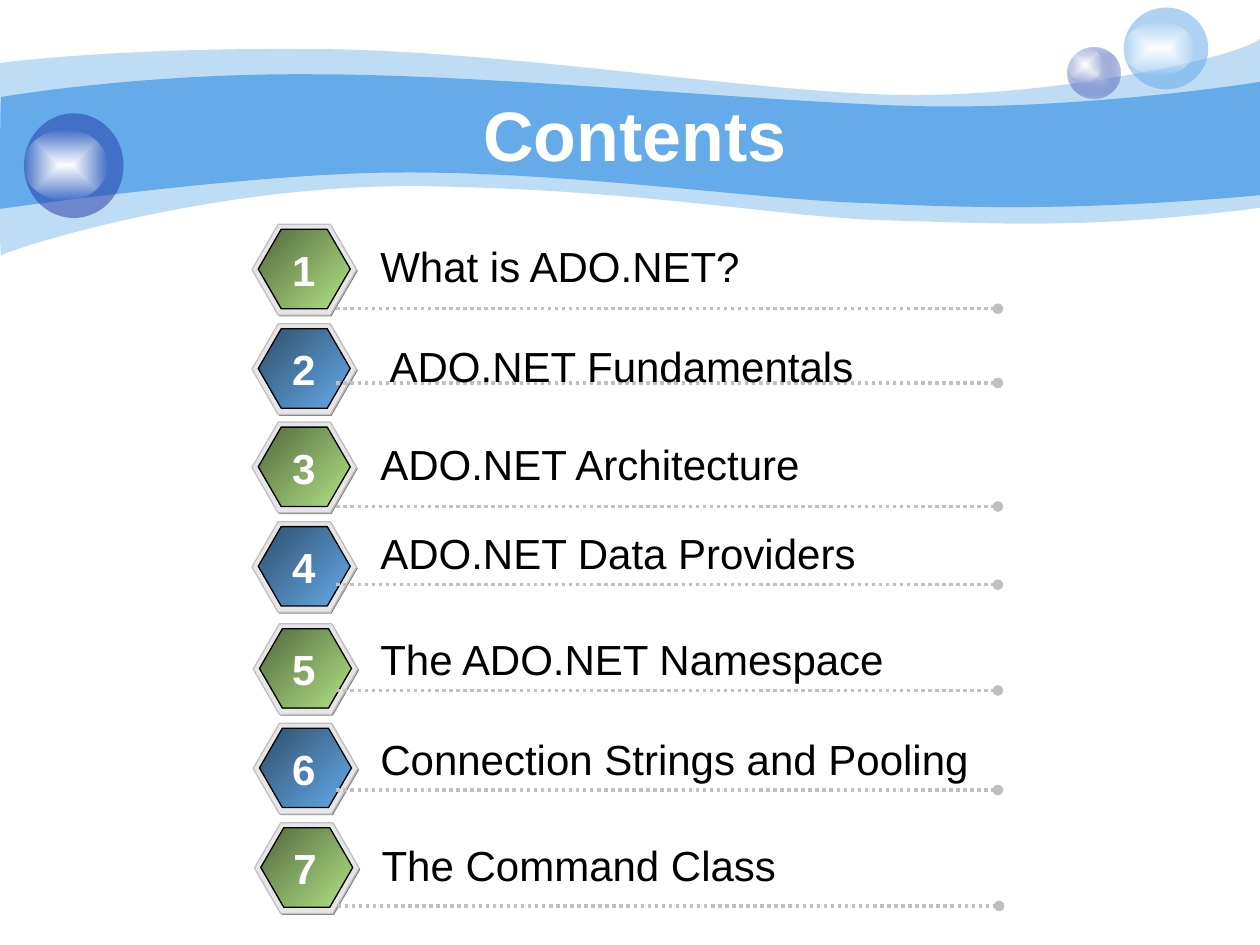
from lxml import etree
from pptx import Presentation
from pptx.dml.color import RGBColor
from pptx.enum import dml, shapes, text
from pptx.oxml import ns
from pptx.util import Inches, Pt


def color(hex_value):
    return RGBColor.from_string(hex_value)


def paint(shape, *stops, radial=False):
    """Fill with one colour or a two-stop gradient of (hex, opacity %) pairs."""
    shape.shadow.inherit = False
    shape.line.fill.background()
    if len(stops) == 1:
        shape.fill.solid()
        shape.fill.fore_color.rgb = color(stops[0][0])
    else:
        shape.fill.gradient()
        shape.fill.gradient_angle = 315
        for stop, (hex_value, _) in zip(shape.fill.gradient_stops, stops):
            stop.color.rgb = color(hex_value)
    properties = shape._element.spPr
    for element, (_, opacity) in zip(properties.xpath(".//a:srgbClr"), stops):
        if opacity < 100:
            etree.SubElement(element, ns.qn("a:alpha"), val=str(opacity * 1000))
    if radial:
        linear = properties.xpath(".//a:lin")[0]
        path = etree.Element(ns.qn("a:path"), path="rect")
        etree.SubElement(path, ns.qn("a:fillToRect"), l="50000", t="50000", r="50000", b="50000")
        linear.getparent().replace(linear, path)


presentation = Presentation()
presentation.slide_width, presentation.slide_height = Inches(10), Inches(7.5)
slide = presentation.slides.add_slide(presentation.slide_layouts[5])

# Waves: each is a list of segments, 1 point for a line and 3 for a cubic curve
waves = [
    (41, (0, 0.5), [
        [(0.24, 0.47), (1.07, 0.38), (2.47, 0.39)],
        [(3.86, 0.39), (5.75, 0.7), (6.99, 0.75)],
        [(8.22, 0.8), (9.8, 0.47), (10, 0.31)],
        [(10, 1.65)],
        [(8.58, 1.83), (7.87, 1.77), (7.05, 1.75)],
        [(6.22, 1.73), (5.15, 1.51), (3.43, 1.48)],
        [(1.72, 1.44), (0.04, 1.99), (0.01, 2.03)],
        [(-0.01, 2.08), (0, 0.75), (0, 0.5)],
    ]),
    (100, (0.01, 0.77), [
        [(0.02, 0.77), (1.1, 0.58), (2.48, 0.59)],
        [(3.86, 0.59), (5.95, 0.8), (7.18, 0.84)],
        [(8.41, 0.88), (9.76, 0.69), (10, 0.65)],
        [(10, 1.55)],
        [(8.53, 1.68), (7.65, 1.65), (6.82, 1.61)],
        [(5.99, 1.58), (4.47, 1.36), (3.17, 1.37)],
        [(2.03, 1.37), (-0.02, 1.66), (-0.01, 1.66)],
        [(0, 1.66), (0, 0.77), (0.01, 0.77)],
    ]),
]
for opacity, start, segments in waves:
    builder = slide.shapes.build_freeform(Inches(start[0]), Inches(start[1]))
    points = [(Inches(x), Inches(y)) for segment in segments for x, y in segment]
    builder.add_line_segments(points, close=True)
    wave = builder.convert_to_shape()
    # Join the three points of each curved segment into one cubic curve
    lines = iter(wave._element.spPr.xpath(".//a:lnTo"))
    for segment in segments:
        parts = [next(lines) for _ in segment]
        if len(parts) == 3:
            curve = etree.Element(ns.qn("a:cubicBezTo"))
            parts[0].addprevious(curve)
            for part in parts:
                curve.append(part[0])
                part.getparent().remove(part)
    paint(wave, ("65AAE9", opacity))

# Spheres with a soft highlight
spheres = [
    ((8.47, 0.38, 0.42, 0.4), (8.47, 0.38, 0.28, 0.27), [("C7CEE9", 100), ("233DA9", 31)]),
    ((8.92, 0.06, 0.67, 0.65), (8.92, 0.17, 0.56, 0.43), [("65AAE9", 53)]),
    ((0.19, 0.9, 0.79, 0.83), (0.19, 1.03, 0.66, 0.56), [("233DA9", 53)]),
]
highlight_stops = [("FFFFFF", 100), ("FFFFFF", 0)]
for ball_box, highlight_box, ball_stops in spheres:
    group = slide.shapes.add_group_shape()
    for box, stops in ((ball_box, ball_stops), (highlight_box, highlight_stops)):
        ellipse = group.shapes.add_shape(shapes.MSO_SHAPE.OVAL, *map(Inches, box))
        paint(ellipse, *stops, radial=len(stops) == 2)

# Title, in front of the waves
title = slide.shapes.title
slide.shapes._spTree.append(title._element)
title.left, title.top, title.width, title.height = map(Inches, (1, 0.75, 8.08, 0.62))
title.text_frame.text = "Contents"
title.text_frame.vertical_anchor = text.MSO_ANCHOR.MIDDLE
paragraph = title.text_frame.paragraphs[0]
paragraph.alignment = text.PP_ALIGN.CENTER
font = paragraph.runs[0].font
font.name, font.size, font.bold = "Arial", Pt(40), True
font.color.rgb = color("FFFFFF")

# Contents: label, horizontal shift, hexagon top, label top, label width, rule height
rows = [
    ("What is ADO.NET?", 0, 1.78, 1.86, 5.39, 2.45),
    (" ADO.NET Fundamentals", 0, 2.57, 2.65, 4.92, 3.04),
    ("ADO.NET Architecture", 0, 3.35, 3.43, 4.92, 4.02),
    ("ADO.NET Data Providers", 0, 4.14, 4.14, 6.89, 4.64),
    ("The ADO.NET Namespace", 0.01, 4.95, 4.98, 4.92, 5.48),
    ("Connection Strings and Pooling", 0.01, 5.74, 5.77, 4.92, 6.27),
    ("The Command Class", 0.02, 6.53, 6.61, 4.92, 7.19),
]
green = [("52693E", 100), ("B2E385", 100)]
blue = [("2F4F6C", 100), ("65AAE9", 100)]
for number, (label, shift, top, label_top, label_width, rule_y) in enumerate(rows, 1):
    # Hexagon: shade, rim and face
    group = slide.shapes.add_group_shape()
    layers = [
        (2.01, 0.01, 0.83, 0.72, [("808080", 100)], None),
        (2, 0, 0.83, 0.72, [("E6E6E6", 100)], "C0C0C0"),
        (2.05, 0.04, 0.73, 0.63, green if number % 2 else blue, "000000"),
    ]
    for left, offset, width, height, stops, outline in layers:
        hexagon = group.shapes.add_shape(
            shapes.MSO_SHAPE.HEXAGON,
            Inches(left + shift), Inches(top + offset), Inches(width), Inches(height),
        )
        hexagon.adjustments[0], hexagon.adjustments[1] = 0.289, 1.155
        paint(hexagon, *stops)
        if outline:
            hexagon.line.color.rgb = color(outline)
            hexagon.line.width = Pt(0.75)

    # Dotted rule with a round end
    rule_left = 2.68 if shift > 0.01 else 2.67
    rule = slide.shapes.add_connector(
        shapes.MSO_CONNECTOR.STRAIGHT,
        Inches(rule_left), Inches(rule_y), Inches(rule_left + 5.25), Inches(rule_y),
    )
    rule.line.color.rgb = color("C0C0C0")
    rule.line.width = Pt(2)
    rule.line.dash_style = dml.MSO_LINE.ROUND_DOT
    etree.SubElement(rule.line._get_or_add_ln(), ns.qn("a:tailEnd"), type="oval")
    etree.SubElement(rule._element.spPr, ns.qn("a:effectLst"))

    # Label and number
    captions = [
        (label, 0.25, label_top, label_width, True, "000000", text.PP_ALIGN.LEFT),
        (str(number), -0.45, top + 0.11, 0.38, False, "FFFFFF", text.PP_ALIGN.CENTER),
    ]
    for caption, offset, box_top, width, wrap, ink, alignment in captions:
        box = slide.shapes.add_textbox(
            Inches(rule_left + offset), Inches(box_top), Inches(width), Inches(0.5)
        )
        frame = box.text_frame
        frame.text = caption
        frame.word_wrap = wrap
        frame.auto_size = text.MSO_AUTO_SIZE.SHAPE_TO_FIT_TEXT
        paragraph = frame.paragraphs[0]
        paragraph.alignment = alignment
        font = paragraph.runs[0].font
        font.name, font.size, font.bold = "Arial", Pt(24), not wrap
        font.color.rgb = color(ink)

presentation.save("out.pptx")
